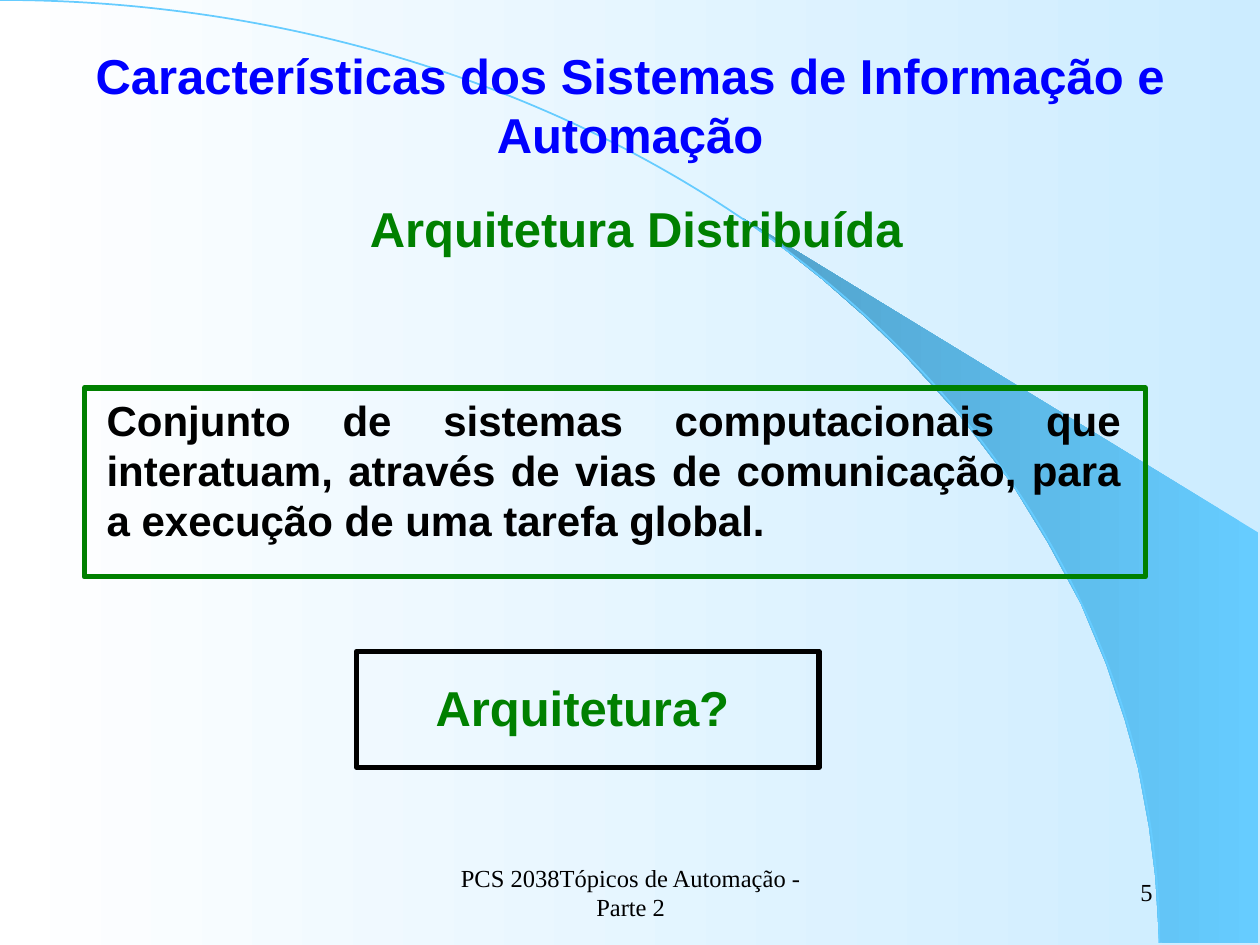
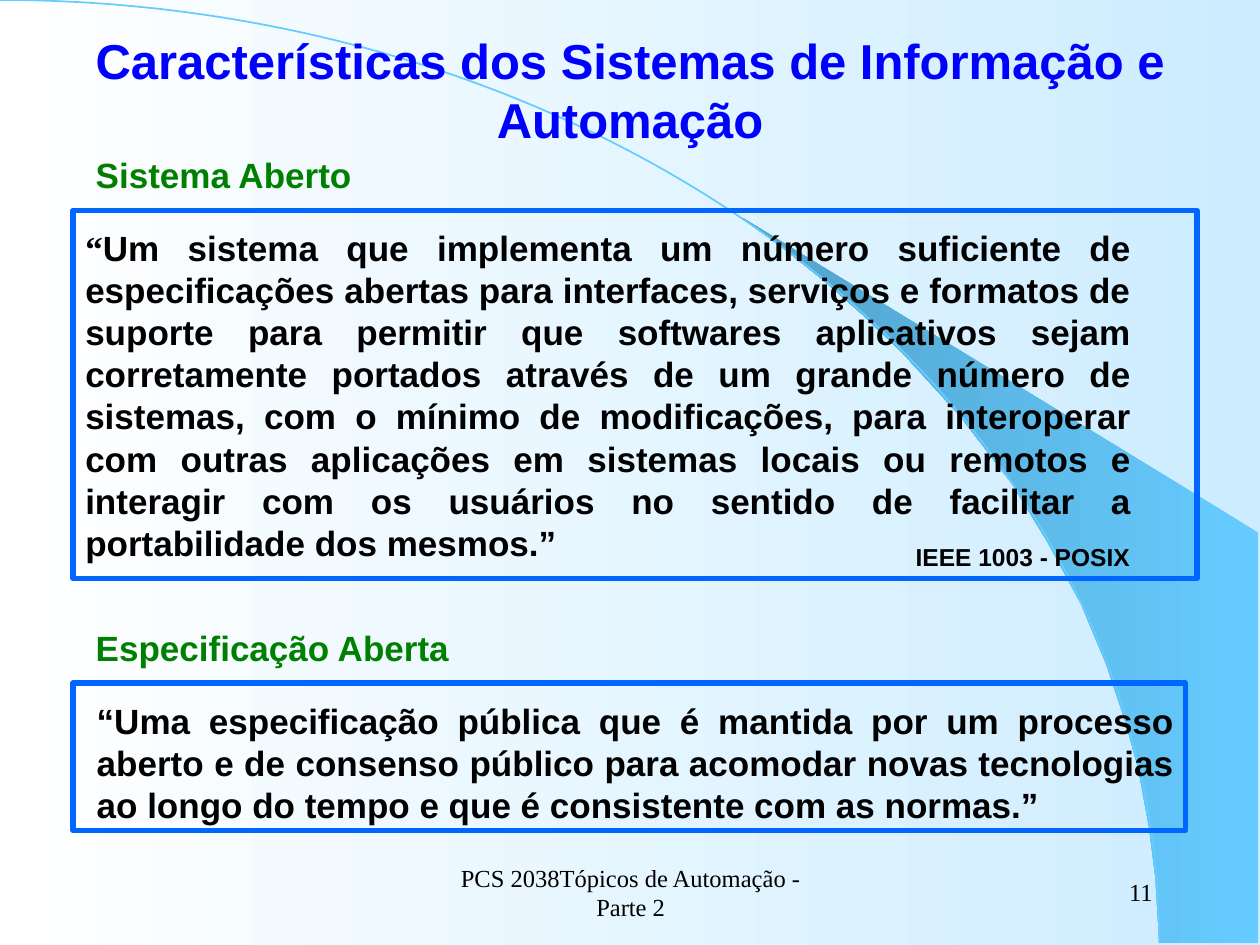
"""Build two slides on distributed architecture and open systems."""
import pptx
import pptx.dml.color
import pptx.enum.shapes
import pptx.enum.text
import pptx.util

Cm = pptx.util.Cm
Pt = pptx.util.Pt
ALIGN = pptx.enum.text.PP_ALIGN
ANCHOR = pptx.enum.text.MSO_ANCHOR
AUTO_SIZE = pptx.enum.text.MSO_AUTO_SIZE
SHAPE = pptx.enum.shapes.MSO_SHAPE

COLOURS = {
    "title": "0000FF",
    "heading": "008000",
    "body": "000000",
    "frame": "0066FF",
    "sky": "CCECFF",
    "white": "FFFFFF",
    "arc": "66CCFF",
    "shade": "51A2CB",
}
SANS = "Arial"
SERIF = "Times New Roman"
TITLE = "Características dos Sistemas de Informação e Automação"
FOOTER = "PCS 2038Tópicos de Automação - Parte 2"
BLADE = [
    (23.37, 19), (25.37, 19.02), (25.37, 10.74), (14.96, 4.39),
    (15.85, 5.05), (16.59, 5.64), (17.4, 6.35), (18.19, 7.11),
    (19.35, 8.38), (20.4, 9.75), (21.13, 10.95), (21.79, 12.17),
    (22.3, 13.39), (22.68, 14.53), (22.94, 15.47), (23.16, 16.66),
    (23.29, 17.68),
]


def colour(name):
    return pptx.dml.color.RGBColor.from_string(COLOURS[name])


class Deck:
    def __init__(self):
        self.presentation = pptx.Presentation()
        self.presentation.slide_width = Cm(25.4)
        self.presentation.slide_height = Cm(19.05)
        self.slide = None

    def new_slide(self, number, title_box):
        layout = self.presentation.slide_layouts[6]
        self.slide = self.presentation.slides.add_slide(layout)
        self.gradient(self.slide.background.fill, "sky", "white")
        self.blade()
        self.outline(SHAPE.ARC, (-23.37, 0, 46.74, 38.02), "arc", 1)
        self.label(TITLE, title_box, 28, "title")
        self.footer(FOOTER, (8.69, 17.35, 8.05, 1.27), ALIGN.CENTER)
        self.footer(number, (18.21, 17.35, 5.28, 1.27), ALIGN.RIGHT)

    def gradient(self, fill, first, last):
        fill.gradient()
        fill.gradient_angle = 180
        for stop, name in zip(fill.gradient_stops, (first, last)):
            stop.color.rgb = colour(name)

    def blade(self):
        points = [(Cm(x), Cm(y)) for x, y in BLADE]
        builder = self.slide.shapes.build_freeform(*points[0])
        builder.add_line_segments(points[1:], close=True)
        shape = builder.convert_to_shape()
        shape.shadow.inherit = False
        shape.line.fill.background()
        self.gradient(shape.fill, "arc", "shade")

    def outline(self, kind, box, line_colour, width=3):
        shape = self.slide.shapes.add_shape(kind, *map(Cm, box))
        shape.shadow.inherit = False
        shape.fill.background()
        shape.line.color.rgb = colour(line_colour)
        shape.line.width = Pt(width)

    def frame(self, box, line_colour):
        self.outline(SHAPE.RECTANGLE, box, line_colour)

    def text(self, words, box, size, name="body", align=ALIGN.LEFT, font=SANS,
             bold=True, wrap=True, opening=""):
        text_box = self.slide.shapes.add_textbox(*map(Cm, box))
        frame = text_box.text_frame
        frame.word_wrap = wrap
        frame.auto_size = AUTO_SIZE.SHAPE_TO_FIT_TEXT
        paragraph = frame.paragraphs[0]
        paragraph.alignment = align
        paragraph.font.name = font
        paragraph.font.size = Pt(size)
        paragraph.font.bold = bold
        paragraph.font.color.rgb = colour(name)
        if opening:
            run = paragraph.add_run()
            run.text = opening
            run.font.name = SERIF
        paragraph.add_run().text = words
        return frame

    def label(self, words, box, size, name, align=ALIGN.CENTER, **style):
        frame = self.text(words, box, size, name, align, **style)
        frame.auto_size = AUTO_SIZE.NONE
        frame.vertical_anchor = ANCHOR.MIDDLE

    def footer(self, words, box, align):
        self.label(words, box, 14, "body", align, font=SERIF, bold=False)

    def heading(self, words, box):
        self.text(words, box, 20, "heading", wrap=False)

    def body(self, words, box, size=20, opening=""):
        self.text(words, box, size, align=ALIGN.JUSTIFY, opening=opening)


def main():
    deck = Deck()

    deck.new_slide("5", (0, 0.84, 25.4, 2.54))
    deck.label("Arquitetura Distribuída", (0.25, 3.38, 25.15, 2.44), 28, "heading")
    deck.body(
        "Conjunto de sistemas computacionais que interatuam, através de vias "
        "de comunicação, para a execução de uma tarefa global.",
        (1.9, 7.82, 20.95, 3.3), 24)
    deck.frame((1.7, 7.82, 21.39, 3.81), "heading")
    deck.text("Arquitetura?", (7.19, 13.54, 9.1, 1.45), 28, "heading", ALIGN.CENTER)
    deck.frame((7.19, 13.13, 9.32, 2.34), "body")

    deck.new_slide("11", (0, 0.64, 25.4, 2.34))
    deck.heading("Sistema Aberto", (1.68, 2.97, 5.69, 1.09))
    deck.body(
        "Um sistema que implementa um número suficiente de especificações "
        "abertas para interfaces, serviços e formatos de suporte para permitir "
        "que softwares aplicativos sejam corretamente portados através de um "
        "grande número de sistemas, com o mínimo de modificações, para "
        "interoperar com outras aplicações em sistemas locais ou remotos e "
        "interagir com os usuários no sentido de facilitar a portabilidade dos "
        "mesmos.”",
        (1.47, 4.45, 21.59, 7.04), opening="“")
    deck.text("IEEE 1003 - POSIX", (18.21, 10.8, 5.61, 0.84), 14)
    deck.frame((1.47, 4.24, 22.66, 7.42), "frame")
    deck.heading("Especificação Aberta", (1.68, 12.5, 7.67, 1.09))
    deck.body(
        "“Uma especificação pública que é mantida por um processo aberto e de "
        "consenso público para acomodar novas tecnologias ao longo do tempo e "
        "que é consistente com as normas.”",
        (1.7, 13.97, 22.23, 2.79))
    deck.frame((1.47, 13.77, 22.43, 2.97), "frame")

    deck.presentation.save("out.pptx")


if __name__ == "__main__":
    main()
